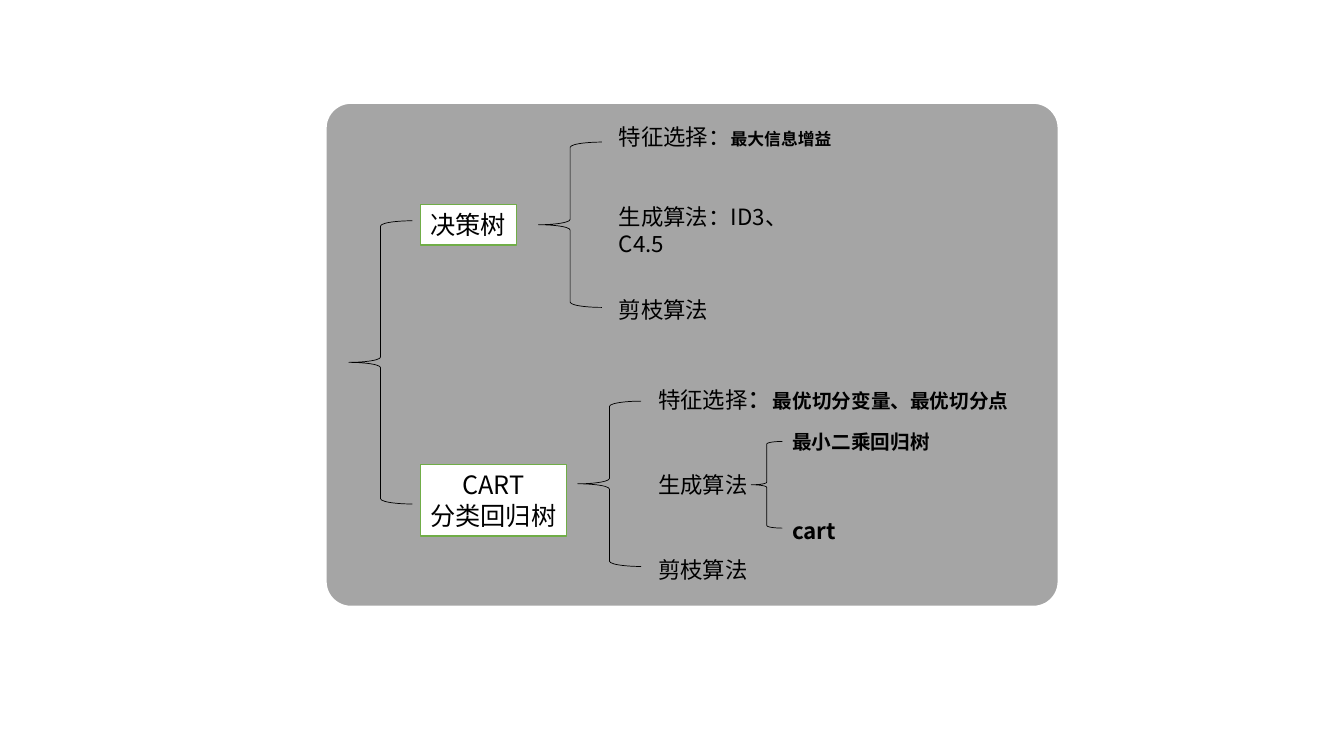
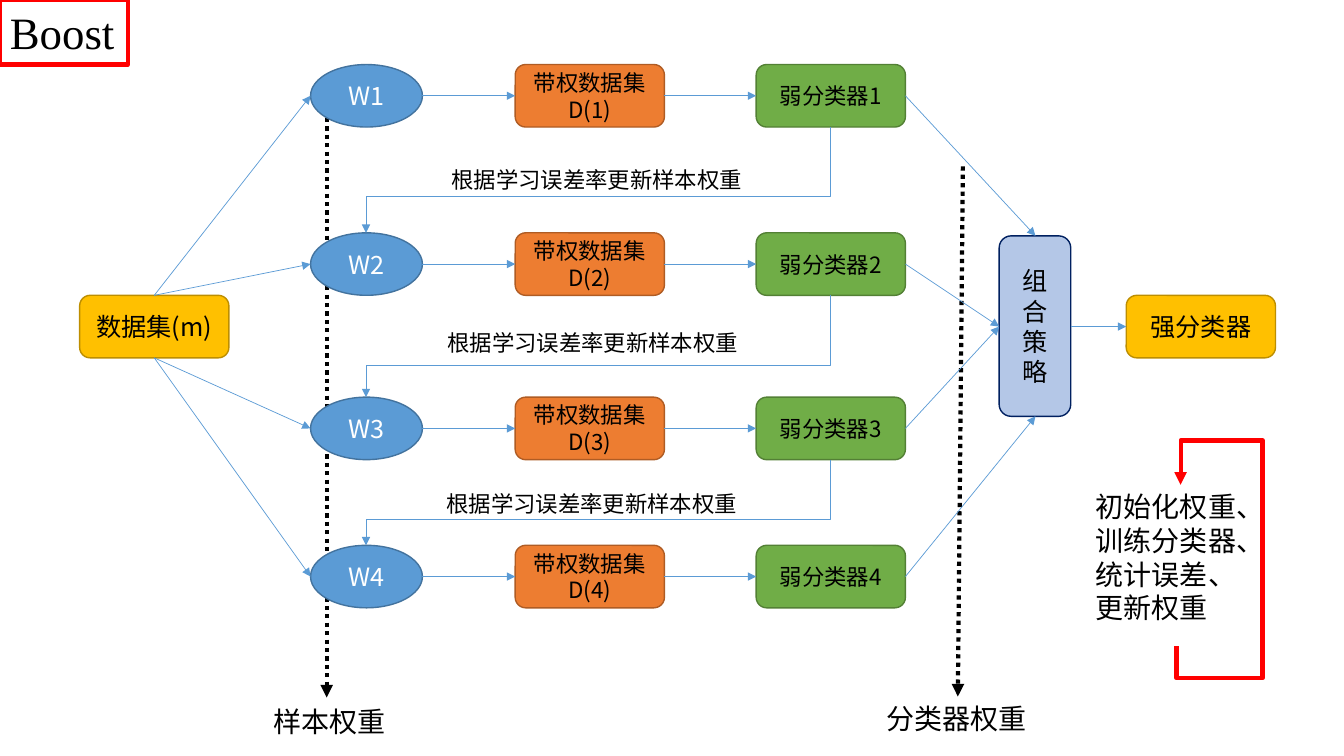
from lxml.etree import SubElement
from pptx import Presentation
from pptx.dml.color import RGBColor
from pptx.enum.dml import MSO_LINE
from pptx.enum.shapes import MSO_CONNECTOR, MSO_SHAPE
from pptx.enum.text import MSO_ANCHOR, MSO_AUTO_SIZE, PP_ALIGN
from pptx.oxml.ns import qn
from pptx.util import Pt

EMU_PER_PX = 9144
SANS = "Noto Sans CJK SC"
SERIF = "Times New Roman"
COLORS = {
    "black": "000000", "white": "FFFFFF", "panel": "A5A5A5", "red": "FF0000",
    "green": "70AD47", "green_edge": "538035",
    "gold": "FFC000", "gold_edge": "BD8E00",
    "orange": "ED7D31", "orange_edge": "AF5C24",
    "blue": "5B9BD5", "blue_edge": "43739E",
    "pale_blue": "B4C7E7", "navy": "002060",
}


def px(*lengths):
    return [round(length * EMU_PER_PX) for length in lengths]


def rgb(name):
    return RGBColor.from_string(COLORS[name])


def write(frame, lines, color="black", font=SANS, align=PP_ALIGN.LEFT):
    for index, line in enumerate(lines):
        paragraph = frame.paragraphs[0] if index == 0 else frame.add_paragraph()
        paragraph.alignment = align
        for text, size, bold in line:
            run = paragraph.add_run()
            run.text = text
            run.font.size = Pt(size)
            run.font.bold = bold
            run.font.name = font
            run.font.color.rgb = rgb(color)
            SubElement(run.font._element, qn("a:ea")).set("typeface", font)


def fit(frame, wrap=False):
    frame.word_wrap = wrap
    frame.auto_size = MSO_AUTO_SIZE.SHAPE_TO_FIT_TEXT
    frame.vertical_anchor = MSO_ANCHOR.TOP


def label(shapes, box, *lines, wrap=False):
    frame = shapes.add_textbox(*px(*box)).text_frame
    fit(frame, wrap)
    write(frame, lines)


def outline(shapes, kind, box, fill, edge, width):
    figure = shapes.add_shape(kind, *px(*box))
    figure.shadow.inherit = False
    if fill:
        figure.fill.solid()
        figure.fill.fore_color.rgb = rgb(fill)
    else:
        figure.fill.background()
    figure.line.color.rgb = rgb(edge)
    figure.line.width = Pt(width)
    return figure


def brace(shapes, box):
    outline(shapes, MSO_SHAPE.LEFT_BRACE, box, None, "black", 0.5)


def tag(shapes, box, lines, fill, edge, width, font=SANS):
    frame = outline(shapes, MSO_SHAPE.RECTANGLE, box, fill, edge, width).text_frame
    fit(frame)
    write(frame, lines, font=font)
    return frame


def node(shapes, box, text, size, fill, edge, kind=MSO_SHAPE.ROUNDED_RECTANGLE, color="black"):
    frame = outline(shapes, kind, box, fill, edge, 1).text_frame
    frame.word_wrap = True
    frame.vertical_anchor = MSO_ANCHOR.MIDDLE
    write(frame, [[(text, size, False)]], color, align=PP_ALIGN.CENTER)


def arrow(shapes, start, end, color="blue", width=0.5, kind=MSO_CONNECTOR.STRAIGHT, dash=None):
    link = shapes.add_connector(kind, *px(*start, *end))
    link.line.color.rgb = rgb(color)
    link.line.width = Pt(width)
    if dash:
        link.line.dash_style = dash
    properties = link._element.spPr
    SubElement(properties.find(qn("a:ln")), qn("a:tailEnd")).set("type", "triangle")
    SubElement(properties, qn("a:effectLst"))
    return properties


def vertical_elbow(shapes, start, end, bends, color="blue", width=0.5):
    (x1, y1), (x2, y2) = start, end
    middle_x, middle_y = (x1 + x2) / 2, (y1 + y2) / 2
    run, rise = (y2 - y1) / 2, (x1 - x2) / 2
    properties = arrow(
        shapes, (middle_x - run, middle_y - rise), (middle_x + run, middle_y + rise),
        color, width, MSO_CONNECTOR.ELBOW)
    properties.find(qn("a:xfrm")).set("rot", str(90 * 60000))
    geometry = properties.find(qn("a:prstGeom"))
    geometry.set("prst", f"bentConnector{len(bends) + 2}")
    guides = geometry.find(qn("a:avLst"))
    for index, bend in enumerate(bends):
        share = (bend - x1) / (x2 - x1) if index % 2 else (bend - y1) / (y2 - y1)
        guide = SubElement(guides, qn("a:gd"))
        guide.set("name", f"adj{index + 1}")
        guide.set("fmla", f"val {round(share * 100000)}")


def branch(shapes, left, top, steps):
    brace(shapes, (left, top, 63, 164))
    for offset, width, height, line, wrap in steps:
        label(shapes, (left + 70, top + offset, width, height), line, wrap=wrap)


def tree_overview(shapes, left, top, width, height):
    panel = outline(shapes, MSO_SHAPE.ROUNDED_RECTANGLE, (left, top, width, height),
                    "panel", "white", 1.5)
    panel.adjustments[0] = 0.05
    brace(shapes, (left + 23, top + 117, 63, 281))
    tag(shapes, (left + 94, top + 101, 95, 40), [[("决策树", 18, False)]], "white", "green", 1)
    cart = tag(shapes, (left + 94, top + 359, 145, 71),
               [[("CART", 18, False)], [("分类回归树", 18, False)]], "white", "green", 1)
    cart.paragraphs[0].alignment = PP_ALIGN.CENTER
    pruning = [("剪枝算法", 16, False)]
    branch(shapes, left + 211, top + 39, [
        (-24, 232, 37, [("特征选择：", 16, False), ("最大信息增益", 12, True)], False),
        (56, 231, 37, [("生成算法：ID3、C4.5", 16, False)], True),
        (148, 109, 37, pruning, False)])
    branch(shapes, left + 250, top + 296, [
        (-23, 369, 40, [("特征选择", 16, False), ("：", 18, False),
                        ("最优切分变量、最优切分点", 14, True)], False),
        (65, 109, 37, [("生成算法", 16, False)], False),
        (149, 109, 37, pruning, False)])
    brace(shapes, (left + 422, top + 336, 31, 86))
    label(shapes, (left + 453, top + 320, 157, 34), [("最小二乘回归树", 14, True)])
    label(shapes, (left + 453, top + 406, 65, 37), [("cart", 16, True)])


def learner_row(shapes, left, top, number):
    middle = top + 31
    node(shapes, (left, top, 111, 62), f"W{number}", 18, "blue", "blue_edge",
         MSO_SHAPE.OVAL, "white")
    node(shapes, (left + 203, top, 148, 62), f"带权数据集D({number})", 16,
         "orange", "orange_edge")
    node(shapes, (left + 442, top, 148, 62), f"弱分类器{number}", 16, "green", "green_edge")
    arrow(shapes, (left + 111, middle), (left + 203, middle))
    arrow(shapes, (left + 351, middle), (left + 442, middle))


def weight_axis(shapes, start, end, caption, box):
    arrow(shapes, start, end, "black", 3, dash=MSO_LINE.ROUND_DOT)
    label(shapes, box, [(caption, 20, False)])


def training_loop(shapes, left, top):
    loop = shapes.add_group_shape().shapes
    steps = ["初始化权重、", "训练分类器、", "统计误差、", "更新权重"]
    label(loop, (left, top, 188, 145), *[[(step, 20, False)] for step in steps])
    vertical_elbow(loop, (left + 90, top + 160), (left + 94, top),
                   [top + 192, left + 175, top - 44], "red", 3)


def boosting_flow(shapes, left, top):
    weights = left + 229
    row_tops = [top, top + 167, top + 330, top + 477]
    weight_axis(shapes, (955, 165), (950, 691), "分类器权重", (869, 691, 160, 44))
    weight_axis(shapes, (324, 117), (324, 692), "样本权重", (261, 694, 132, 44))
    for number, row_top in enumerate(row_tops, 1):
        learner_row(shapes, weights, row_top, number)

    data_top = top + 229
    strategy, strong = left + 912, left + 1038
    node(shapes, (left, data_top, 148, 62), "数据集(m)", 18, "gold", "gold_edge")
    node(shapes, (strategy, top + 170, 71, 179), "组合策略", 18, "pale_blue", "navy")
    node(shapes, (strong, data_top, 148, 62), "强分类器", 18, "gold", "gold_edge")
    arrow(shapes, (strategy + 71, data_top + 31), (strong, data_top + 31))

    entries = [(strategy + 36, top + 170), (strategy, top + 260),
               (strategy, top + 260), (strategy + 36, top + 349)]
    for index, (row_top, entry) in enumerate(zip(row_tops, entries)):
        data_exit = data_top if index < 2 else data_top + 62
        arrow(shapes, (left + 74, data_exit), (weights, row_top + 31))
        arrow(shapes, (weights + 590, row_top + 31), entry)

    updates = [(195, 438, 160), (363, 434, 322), (515, 433, 481)]
    for row_top, next_top, (bend, text_left, text_top) in zip(row_tops, row_tops[1:], updates):
        vertical_elbow(shapes, (weights + 516, row_top + 62), (weights + 55, next_top), [bend])
        label(shapes, (text_left, text_top, 312, 37), [("根据学习误差率更新样本权重", 16, False)])


def main():
    deck = Presentation()
    deck.slide_width, deck.slide_height = px(1333, 750)
    trees, boost = [deck.slides.add_slide(deck.slide_layouts[6]).shapes for _ in range(2)]
    tree_overview(trees, 323, 102, 727, 500)
    boosting_flow(boost, 79, 64)
    tag(boost, (0, 0, 127, 64), [[("Boost", 32, False)]], None, "red", 3, SERIF)
    training_loop(boost, 1077, 481)
    deck.save("out.pptx")


if __name__ == "__main__":
    main()
